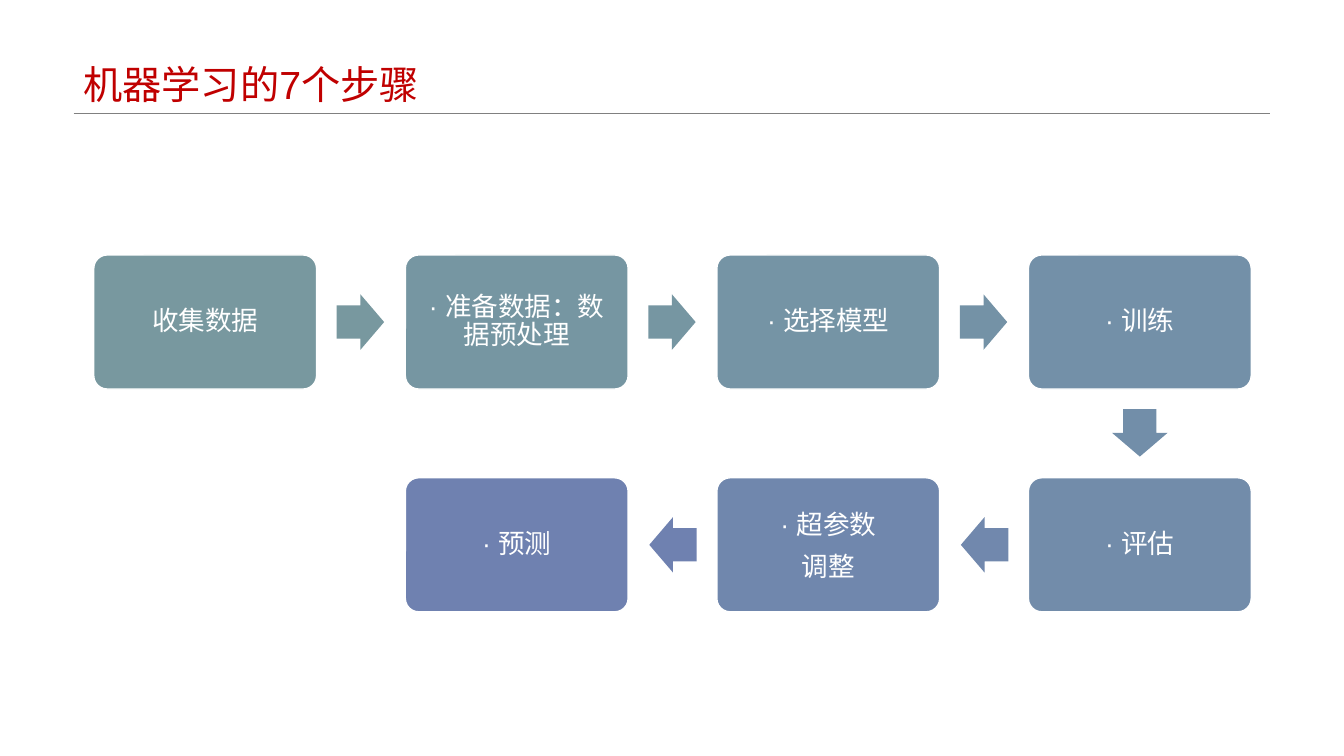
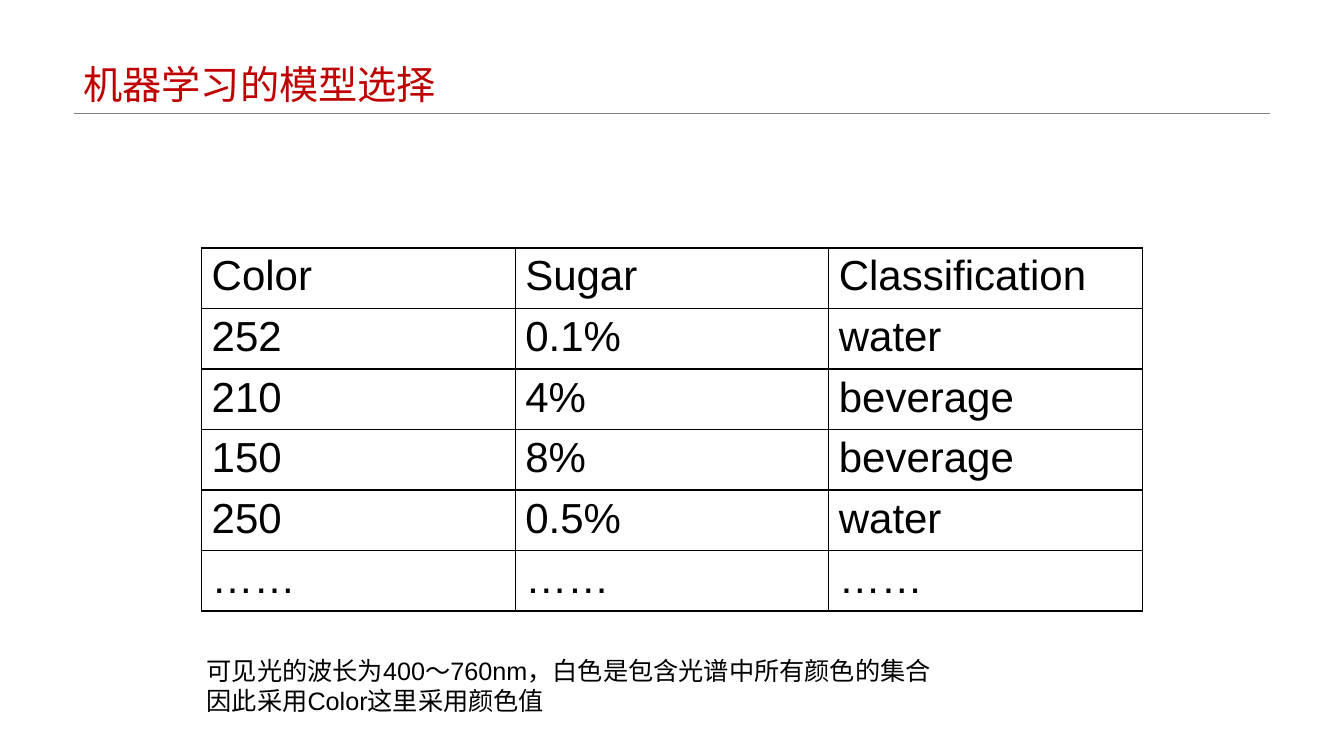
from lxml import etree
from pptx import Presentation
from pptx.dml.color import RGBColor
from pptx.enum.shapes import MSO_CONNECTOR, MSO_SHAPE
from pptx.enum.text import MSO_ANCHOR, PP_ALIGN
from pptx.oxml.ns import qn
from pptx.util import Inches, Pt

# Shared look
WIDTH, HEIGHT = 13.33, 7.5
WHITE = RGBColor(0xFF, 0xFF, 0xFF)
BLACK = RGBColor(0, 0, 0)
RED = RGBColor(0xC0, 0, 0)
GREY = RGBColor(0x80, 0x80, 0x80)
TITLE_AREA = (0.73, 0, 11.87, 1.12)
TOP, MIDDLE, BOTTOM = MSO_ANCHOR.TOP, MSO_ANCHOR.MIDDLE, MSO_ANCHOR.BOTTOM
LEFT, CENTER = PP_ALIGN.LEFT, PP_ALIGN.CENTER
ROUNDED, ARROW = MSO_SHAPE.ROUNDED_RECTANGLE, MSO_SHAPE.RIGHT_ARROW
STRAIGHT = MSO_CONNECTOR.STRAIGHT

TITLE_FONT = {"name": "Arial", "size": Pt(28)}
STEP_FONT = {"name": "Arial", "size": Pt(19)}
CELL_FONT = {"name": "Arial", "size": Pt(30)}
NOTE_FONT = {"name": "Arial", "size": Pt(18)}

# Each step: text, box colour, colour of the arrow that leaves it
STEPS = [
    ("收集数据", "78989F", "78989F"),
    ("· 准备数据：数据预处理", "7696A2", "7696A2"),
    ("· 选择模型", "7594A5", "7492A6"),
    ("· 训练", "7390A8", "728EA9"),
    ("· 评估", "728CAA", "7188AD"),
    ("· 超参数\n调整", "7087AD", "6F81B0"),
    ("· 预测", "6F81B0", None),
]
STEP_COLUMNS = 4
BOX_WIDTH, BOX_HEIGHT = 2.21, 1.33
COLUMN_PITCH, ROW_PITCH = 3.09, 2.21
ARROW_LENGTH, ARROW_BREADTH, ARROW_GAP = 0.47, 0.55, 0.2

SAMPLES = [
    ("Color", "Sugar", "Classification"),
    ("252", "0.1%", "water"),
    ("210", "4%", "beverage"),
    ("150", "8%", "beverage"),
    ("250", "0.5%", "water"),
    ("……", "……", "……"),
]
HEADER_HEIGHT, ROW_HEIGHT = 0.6, 0.57
NOTE = ("可见光的波长为400～760nm，白色是包含光谱中所有颜色的集合\n"
        "因此采用Color这里采用颜色值")


def inches(*lengths):
    return [Inches(length) for length in lengths]


def write(frame, text, font, color, align=LEFT, **spacing):
    """Fill a text frame, one paragraph a line."""
    for index, line in enumerate(text.split("\n")):
        para = frame.add_paragraph() if index else frame.paragraphs[0]
        para.alignment = align
        for name, value in spacing.items():
            setattr(para, name, value)
        span = para.add_run()
        span.text = line
        for name, value in font.items():
            setattr(span.font, name, value)
        span.font.color.rgb = color


def set_frame(frame, anchor, margin=None):
    frame.word_wrap = True
    frame.vertical_anchor = anchor
    if margin is not None:
        for side in ("left", "right", "top", "bottom"):
            setattr(frame, f"margin_{side}", Inches(margin))


def add_page(deck, title):
    """Blank page with the title and the thin rule below it."""
    page = deck.slides.add_slide(deck.slide_layouts[6])
    left, top, width, height = TITLE_AREA
    rule = page.shapes.add_connector(
        STRAIGHT, *inches(left, top + height, left + width, top + height))
    rule.line.color.rgb = GREY
    rule.line.width = Pt(0.25)
    etree.SubElement(rule._element.spPr, qn("a:effectLst"))
    box = page.shapes.add_textbox(*inches(*TITLE_AREA))
    set_frame(box.text_frame, BOTTOM)
    write(box.text_frame, title, TITLE_FONT, RED, line_spacing=0.9)
    return page


def add_filled(page, kind, area, color, adjustments):
    shape = page.shapes.add_shape(kind, *inches(*area))
    shape.shadow.inherit = False
    shape.fill.solid()
    shape.fill.fore_color.rgb = RGBColor.from_string(color)
    for index, value in enumerate(adjustments):
        shape.adjustments[index] = value
    return shape


def add_step(page, left, top, text, color):
    box = add_filled(page, ROUNDED, (left, top, BOX_WIDTH, BOX_HEIGHT), color, [0.1])
    box.line.color.rgb = WHITE
    box.line.width = Pt(1)
    set_frame(box.text_frame, MIDDLE, 0.12)
    write(box.text_frame, text, STEP_FONT, WHITE, CENTER,
          line_spacing=1.0 if "\n" in text else 0.9, space_after=Pt(6.65))


def add_step_arrow(page, left, top, across, down, color):
    """Arrow leaving the box at left, top in the direction (across, down)."""
    reach = ARROW_GAP + ARROW_LENGTH / 2
    center_x = left + BOX_WIDTH / 2 + across * (BOX_WIDTH / 2 + reach)
    center_y = top + BOX_HEIGHT / 2 + down * (BOX_HEIGHT / 2 + reach)
    area = (center_x - ARROW_LENGTH / 2, center_y - ARROW_BREADTH / 2,
            ARROW_LENGTH, ARROW_BREADTH)
    arrow = add_filled(page, ARROW, area, color, [0.6, 0.5])
    arrow.line.fill.background()
    arrow.rotation = 90 if down else 90 * (1 - across)


def add_step_flow(page, left, top):
    """Steps run right along the first row and back along the second."""
    places = []
    for index in range(len(STEPS)):
        row, column = divmod(index, STEP_COLUMNS)
        places.append((STEP_COLUMNS - 1 - column if row else column, row))
    for index, (text, color, arrow_color) in enumerate(STEPS):
        column, row = places[index]
        x, y = left + column * COLUMN_PITCH, top + row * ROW_PITCH
        add_step(page, x, y, text, color)
        if arrow_color:
            next_column, next_row = places[index + 1]
            add_step_arrow(page, x, y, next_column - column, next_row - row, arrow_color)


def add_borders(cell):
    properties = cell._tc.get_or_add_tcPr()
    for index, side in enumerate(("lnL", "lnR", "lnT", "lnB")):
        line = etree.Element(qn(f"a:{side}"), w=str(Pt(1)))
        fill = etree.SubElement(line, qn("a:solidFill"))
        etree.SubElement(fill, qn("a:srgbClr"), val=str(BLACK))
        properties.insert(index, line)


def add_sample_table(page, left, top, width):
    height = HEADER_HEIGHT + ROW_HEIGHT * (len(SAMPLES) - 1)
    table = page.shapes.add_table(
        len(SAMPLES), len(SAMPLES[0]), *inches(left, top, width, height)).table
    table.first_row = table.horz_banding = False
    for row_index, values in enumerate(SAMPLES):
        table.rows[row_index].height = Inches(ROW_HEIGHT if row_index else HEADER_HEIGHT)
        for column_index, value in enumerate(values):
            cell = table.cell(row_index, column_index)
            cell.fill.background()
            add_borders(cell)
            write(cell.text_frame, value, CELL_FONT, BLACK)


def add_note(page, *area):
    box = page.shapes.add_textbox(*inches(*area))
    set_frame(box.text_frame, TOP, 0.05)
    write(box.text_frame, NOTE, NOTE_FONT, BLACK)


def main():
    deck = Presentation()
    deck.slide_width, deck.slide_height = inches(WIDTH, HEIGHT)

    # Seven steps
    page = add_page(deck, "机器学习的7个步骤")
    add_step_flow(page, 0.93, 2.53)

    # Model choice
    page = add_page(deck, "机器学习的模型选择")
    add_sample_table(page, 2, 2.46, 9.33)
    add_note(page, 2, 6.45, 7.92, 0.7)

    deck.save("out.pptx")


if __name__ == "__main__":
    main()
